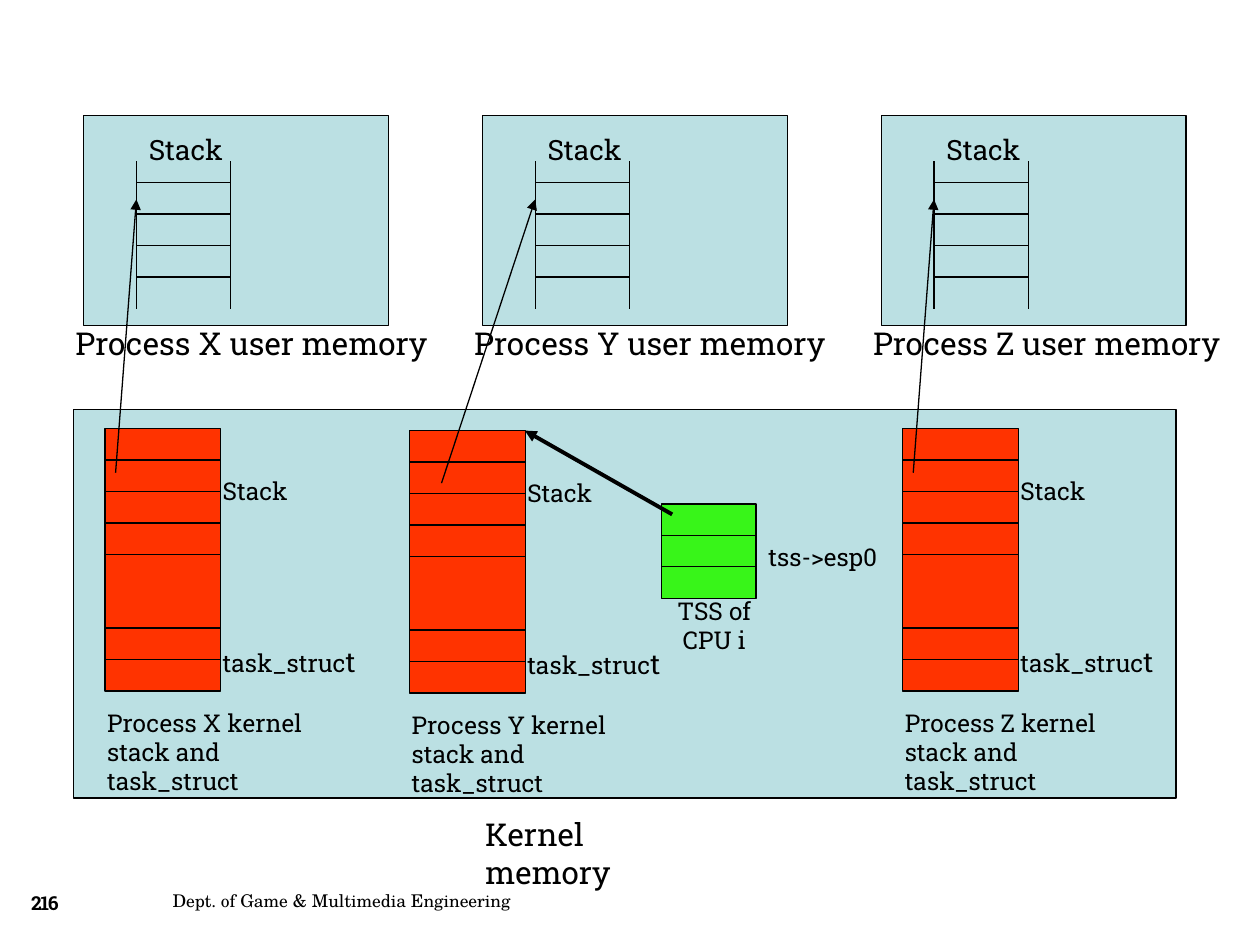
"""Build the slide on user stacks, kernel stacks and the TSS."""
from pptx import Presentation
from pptx.dml.color import RGBColor
from pptx.enum.shapes import MSO_CONNECTOR, MSO_SHAPE
from pptx.enum.text import MSO_ANCHOR, PP_ALIGN
from pptx.oxml.ns import qn
from pptx.util import Cm, Pt
from lxml import etree

RECTANGLE = MSO_SHAPE.RECTANGLE
STRAIGHT = MSO_CONNECTOR.STRAIGHT
LEFT, CENTER = PP_ALIGN.LEFT, PP_ALIGN.CENTER
TOP, MIDDLE = MSO_ANCHOR.TOP, MSO_ANCHOR.MIDDLE
SLAB, SCHOLA = "Roboto Slab", "TeX Gyre Schola"
COLORS = {"ink": "000000", "memory": "BBE0E3", "kernel_stack": "FF3300", "tss": "38F519"}

USER_TOP = 2.33
USER_LEFT = 1.69
USER_PITCH = 8.04
CELL = 0.635
ARROW_END = 4.02


def color(name):
    """Return the named colour."""
    return RGBColor.from_string(COLORS[name])


def add_box(page, left, top, width, height, fill):
    """Draw a filled rectangle with a thin outline."""
    box = page.shapes.add_shape(RECTANGLE, Cm(left), Cm(top), Cm(width), Cm(height))
    box.shadow.inherit = False
    box.fill.solid()
    box.fill.fore_color.rgb = color(fill)
    box.line.color.rgb = color("ink")
    box.line.width = Pt(0.75)


def add_line(page, start, end, width=0.75, arrow=False):
    """Draw a straight line, with an arrowhead at its end if asked."""
    line = page.shapes.add_connector(STRAIGHT, *map(Cm, start + end))
    line.line.color.rgb = color("ink")
    line.line.width = Pt(width)
    if arrow:
        outline = line.line._get_or_add_ln()
        etree.SubElement(outline, qn("a:tailEnd"), type="triangle")
    etree.SubElement(line._element.spPr, qn("a:effectLst"))


def add_rungs(page, left, top, width, offsets):
    """Draw the horizontal dividers of a stack."""
    for offset in offsets:
        add_line(page, (left, top + offset), (left + width, top + offset))


def add_text(page, text, left, top, width, height, size=14, font=SLAB, align=LEFT,
             anchor=TOP, bold=False, spacing=None, ending="", ending_size=16):
    """Write one paragraph, optionally with an ending in another size."""
    box = page.shapes.add_textbox(Cm(left), Cm(top), Cm(width), Cm(height))
    frame = box.text_frame
    frame.word_wrap = True
    frame.vertical_anchor = anchor
    para = frame.paragraphs[0]
    para.alignment = align
    for part, part_size in ((text, size), (ending, ending_size)):
        if not part:
            continue
        span = para.add_run()
        span.text = part
        span.font.name = font
        span.font.size = Pt(part_size)
        span.font.bold = bold
        span.font.color.rgb = color("ink")
        if spacing is not None:
            span.font._element.set("spc", str(round(spacing * 100)))


def add_user_memory(page, name, left):
    """Draw the user memory of a process with its stack."""
    stack_left, stack_width = left + 1.06, 1.9
    add_box(page, left, USER_TOP, 6.14, 4.23, "memory")
    add_text(page, "Stack", stack_left, 2.54, 2.54, 0.94, size=16)
    for rail in (stack_left, stack_left + stack_width):
        add_line(page, (rail, 3.25), (rail, 6.22))
    add_rungs(page, stack_left, 3.68, stack_width, [CELL * row for row in range(4)])
    add_text(page, f"Process {name} user memory", left - 0.42, 6.4, 7.62, 1.02, size=18)


def add_kernel_stack(page, name, left, top):
    """Draw the kernel stack and task_struct of a process."""
    width, height = 2.33, 5.29
    label_left = left + 2.12
    add_text(page, "Stack", label_left, top + 0.84, 2.54, 0.84)
    add_text(page, f"Process {name} kernel stack and task_struct",
             left - 0.21, top + 5.5, 5.5, 1.45)
    add_box(page, left, top, width, height, "kernel_stack")
    add_text(page, "task_struc", label_left, top + 4.23, 3.39, 0.94, ending="t")
    offsets = [CELL * row for row in (1, 2, 3, 4)]
    offsets += [height - CELL * row for row in (2, 1)]
    add_rungs(page, left, top, width, offsets)


def add_tss(page, left, top):
    """Draw the TSS block with its labels."""
    side = 1.9
    add_box(page, left, top, side, side, "tss")
    add_rungs(page, left, top, side, [side / 3, side * 2 / 3])
    add_text(page, "TSS of CPU i", left - 0.21, top + 1.73, 2.54, 1.45, align=CENTER)
    add_text(page, "tss->esp0", left + side, top + 0.64, 3.6, 0.84)


def main():
    """Build and save the deck."""
    deck = Presentation()
    deck.slide_width, deck.slide_height = Cm(25.4), Cm(19.05)
    page = deck.slides.add_slide(deck.slide_layouts[6])

    add_text(page, "Dept. of Game & Multimedia Engineering", 3.23, 17.65, 11.66, 1.02,
             size=10, font=SCHOLA, anchor=MIDDLE)
    add_box(page, 1.48, 8.26, 22.23, 7.83, "memory")
    add_text(page, "Kernel memory", 9.53, 16.3, 5.08, 1.02, size=18)
    add_tss(page, 13.34, 10.16)

    processes = [
        ("X", 2.12, 8.64, (0.21, 0.89)),
        ("Y", 8.26, 8.68, (0.64, 1.06)),
        ("Z", 18.2, 8.64, (0.21, 0.89)),
    ]
    for column, (name, left, top, (right, down)) in enumerate(processes):
        user_left = USER_LEFT + USER_PITCH * column
        add_user_memory(page, name, user_left)
        add_kernel_stack(page, name, left, top)
        add_line(page, (left + right, top + down), (user_left + 1.06, ARROW_END), arrow=True)

    add_line(page, (13.55, 10.37), (10.58, 8.68), width=2.25, arrow=True)
    add_text(page, "216", 0.23, 17.7, 1.35, 1.02, size=11, align=CENTER,
             anchor=MIDDLE, bold=True, spacing=-0.7)
    deck.save("out.pptx")


if __name__ == "__main__":
    main()
